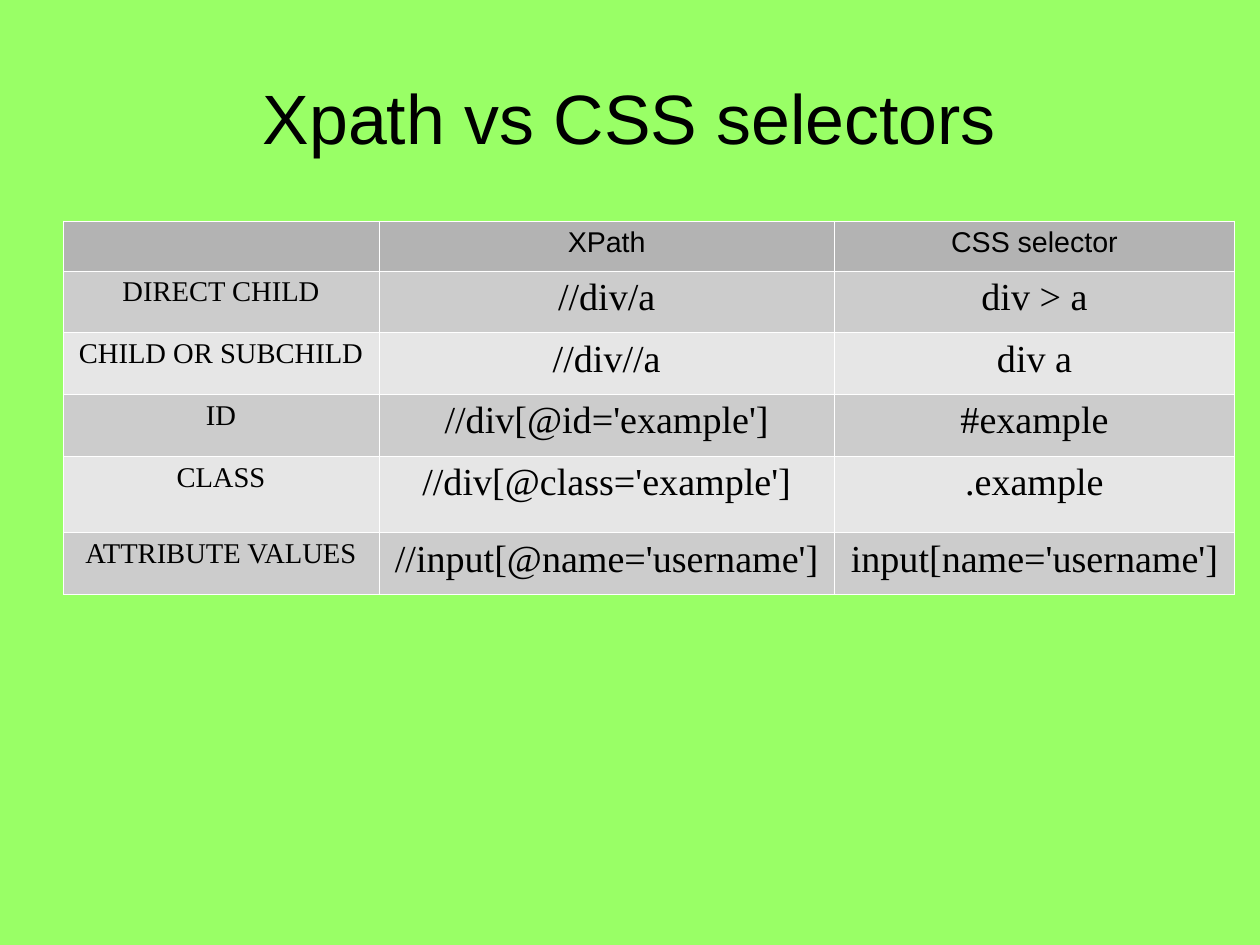
from lxml.etree import SubElement
from pptx import Presentation
from pptx.dml.color import RGBColor
from pptx.enum.text import MSO_ANCHOR as Anchor, PP_ALIGN as Align
from pptx.oxml.ns import qn
from pptx.util import Pt

TITLE = "Xpath vs CSS selectors"
HEADER = ("", "XPath", "CSS selector")
SELECTORS = [
    ("DIRECT CHILD", "//div/a", "div > a"),
    ("CHILD OR SUBCHILD", "//div//a", "div a"),
    ("ID", "//div[@id='example']", "#example"),
    ("CLASS", "//div[@class='example']", ".example"),
    ("ATTRIBUTE VALUES", "//input[@name='username']", "input[name='username']"),
]

THEME = {
    "background": "99FF66", "text": "000000", "border": "FFFFFF",
    "header": "B3B3B3", "bands": ("CCCCCC", "E6E6E6"),
    "sans": "Arial", "serif": "Times New Roman",
    "title_size": 44, "label_size": 18, "code_size": 24,
}
PAGE_WIDTH, PAGE_HEIGHT = 793.75, 595.25
LEFT = 39.7
TITLE_TOP, TITLE_WIDTH, TITLE_HEIGHT = 23.75, 714.3, 99.4
TABLE_TOP = 139
COLUMN_WIDTHS = (199, 287, 252)
ROW_HEIGHTS = (31.5, 38.9, 38.9, 38.9, 48.2, 38.9)
BORDER_WIDTH = 0.06


def write(frame, text, *, size, font, color=THEME["text"], align=Align.CENTER):
    """Write one formatted paragraph into a text frame."""
    para = frame.paragraphs[0]
    para.alignment = align
    para.font.size = Pt(size)
    if text:
        span = para.add_run()
        span.text = text
        span.font.size = Pt(size)
        span.font.name = font
        span.font.color.rgb = RGBColor.from_string(color)


def add_borders(cell):
    """Draw a hairline on all four sides of a cell."""
    properties = cell._tc.get_or_add_tcPr()
    for side in ("a:lnL", "a:lnR", "a:lnT", "a:lnB"):
        line = SubElement(properties, qn(side), w=str(int(Pt(BORDER_WIDTH))))
        fill = SubElement(line, qn("a:solidFill"))
        SubElement(fill, qn("a:srgbClr"), val=THEME["border"])


def style_cell(cell, fill):
    """Give a cell its borders, margins and fill colour."""
    add_borders(cell)
    cell.margin_left = cell.margin_right = Pt(7.2)
    cell.margin_top = cell.margin_bottom = Pt(3.6)
    cell.fill.solid()
    cell.fill.fore_color.rgb = RGBColor.from_string(fill)


def add_title(page):
    """Place the centred slide title."""
    box = page.shapes.add_textbox(
        Pt(LEFT), Pt(TITLE_TOP), Pt(TITLE_WIDTH), Pt(TITLE_HEIGHT))
    frame = box.text_frame
    frame.word_wrap = True
    frame.vertical_anchor = Anchor.MIDDLE
    frame.margin_left = frame.margin_right = 0
    frame.margin_top = frame.margin_bottom = 0
    write(frame, TITLE, size=THEME["title_size"], font=THEME["sans"])


def add_selector_table(page):
    """Build the banded table that compares the two syntaxes."""
    rows = [HEADER, *SELECTORS]
    table = page.shapes.add_table(
        len(rows), len(HEADER), Pt(LEFT), Pt(TABLE_TOP),
        Pt(sum(COLUMN_WIDTHS)), Pt(sum(ROW_HEIGHTS))).table
    for column, width in zip(table.columns, COLUMN_WIDTHS):
        column.width = Pt(width)
    for row, height in zip(table.rows, ROW_HEIGHTS):
        row.height = Pt(height)
    for r, texts in enumerate(rows):
        is_header = r == 0
        fill = THEME["header"] if is_header else THEME["bands"][(r - 1) % 2]
        font = THEME["sans" if is_header else "serif"]
        for c, text in enumerate(texts):
            cell = table.cell(r, c)
            style_cell(cell, fill)
            size = THEME["label_size" if is_header or c == 0 else "code_size"]
            write(cell.text_frame, text, size=size, font=font)


deck = Presentation()
deck.slide_width, deck.slide_height = Pt(PAGE_WIDTH), Pt(PAGE_HEIGHT)
page = deck.slides.add_slide(deck.slide_layouts[6])
page.background.fill.solid()
page.background.fill.fore_color.rgb = RGBColor.from_string(THEME["background"])
add_title(page)
add_selector_table(page)
deck.save("out.pptx")
